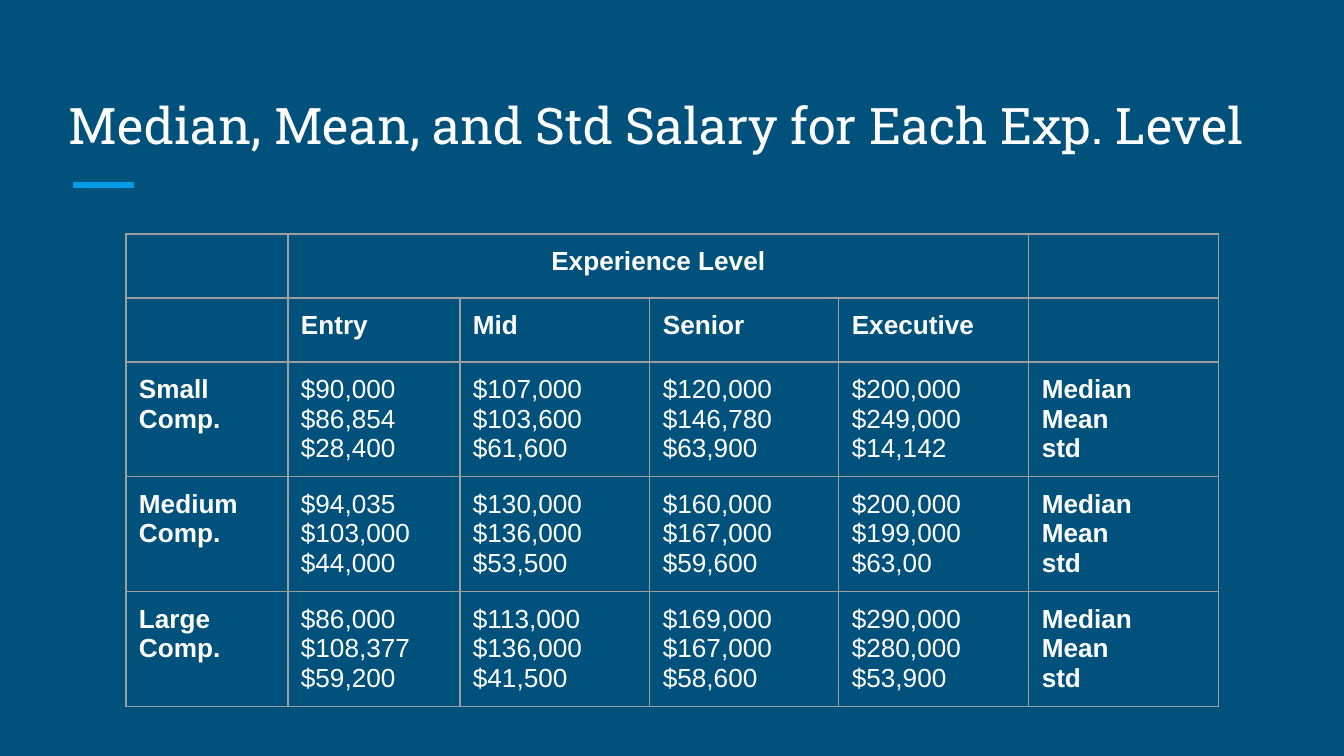
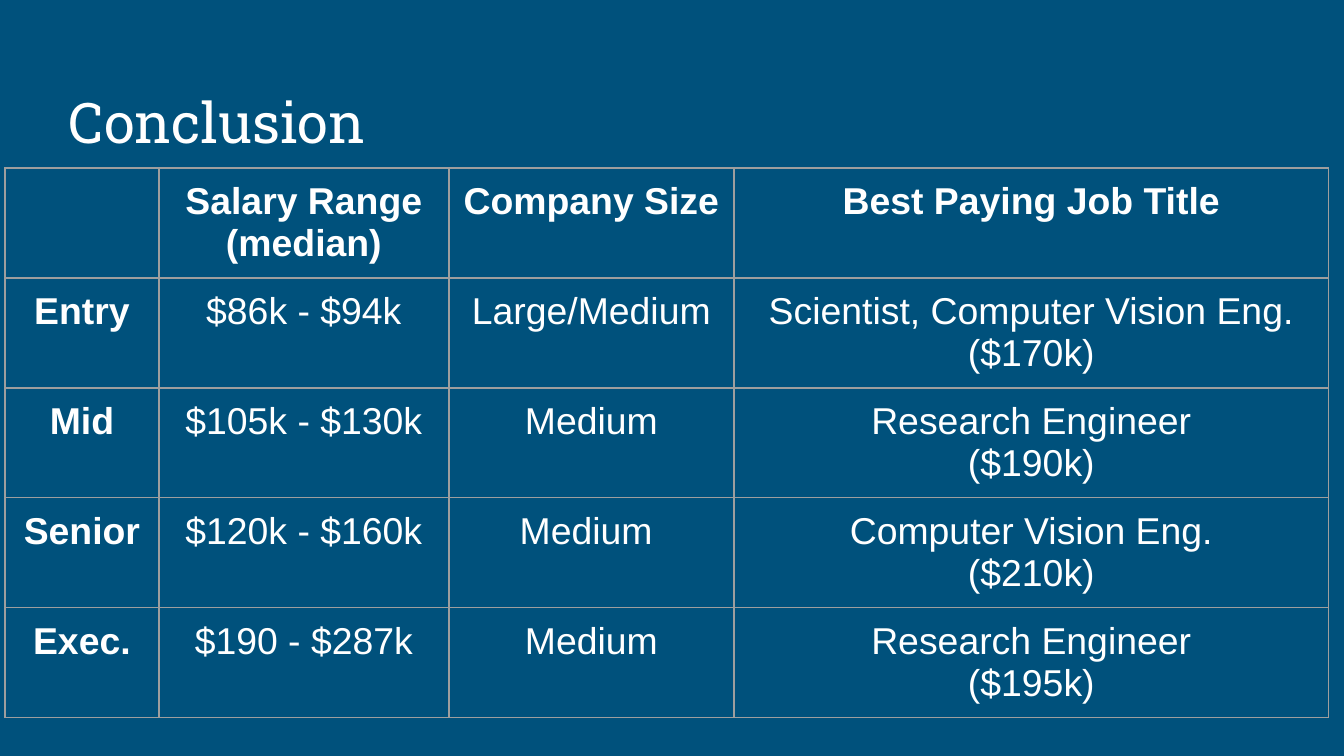
from dataclasses import dataclass

from lxml.etree import SubElement
from pptx import Presentation
from pptx.dml.color import RGBColor as RGB
from pptx.enum.shapes import MSO_CONNECTOR as Connector
from pptx.enum.text import MSO_ANCHOR as Anchor, MSO_AUTO_SIZE as AutoSize, PP_ALIGN as Align
from pptx.oxml.ns import qn
from pptx.util import Pt

# Content: cell lines are separated by "\n"
STATS = "Median\nMean\nstd"
SLIDES = [
    dict(
        title="Median, Mean, and Std Salary for Each Exp. Level", title_size=27,
        at=(126, 234), cols=(162, 172, 190, 189, 190, 190), rows=(64, 64, 115, 115, 115),
        size=14, align=Align.LEFT, filled=False,
        header_rows=2, bold_cols=(0, 5), span=(0, 1, 4),
        cells=[
            ("", "Experience Level", "", "", "", ""),
            ("", "Entry", "Mid", "Senior", "Executive", ""),
            ("Small\nComp.", "$90,000\n$86,854\n$28,400", "$107,000\n$103,600\n$61,600",
             "$120,000\n$146,780\n$63,900", "$200,000\n$249,000\n$14,142", STATS),
            ("Medium Comp.", "$94,035\n$103,000\n$44,000", "$130,000\n$136,000\n$53,500",
             "$160,000\n$167,000\n$59,600", "$200,000\n$199,000\n$63,00", STATS),
            ("Large Comp.", "$86,000\n$108,377\n$59,200", "$113,000\n$136,000\n$41,500",
             "$169,000\n$167,000\n$58,600", "$290,000\n$280,000\n$53,900", STATS),
        ],
    ),
    dict(
        title="Conclusion", title_size=30,
        at=(5, 168), cols=(154, 290, 285, 595), rows=(110,) * 5,
        size=20, align=Align.CENTER, filled=True,
        header_rows=1, bold_cols=(0,), span=None,
        cells=[
            ("", "Salary Range\n(median)", "Company Size", "Best Paying Job Title"),
            ("Entry", "$86k - $94k", "Large/Medium", "Scientist, Computer Vision Eng. ($170k)"),
            ("Mid", "$105k - $130k", "Medium", "Research Engineer\n($190k)"),
            ("Senior", "$120k - $160k", "Medium ", "Computer Vision Eng.\n($210k)"),
            ("Exec.", "$190 - $287k", "Medium", "Research Engineer\n($195k)"),
        ],
    ),
]


@dataclass(frozen=True)
class Theme:
    background: RGB = RGB.from_string("00517C")
    accent: RGB = RGB.from_string("039BE5")
    text: RGB = RGB.from_string("FFFFFF")
    border: str = "9E9E9E"
    title_font: str = "Roboto Slab"
    body_font: str = "Arial"
    accent_width: float = 3
    border_width: float = 0.75


THEME = Theme()
SLIDE_SIZE = (1344, 756)
TITLE_BOX = (56, 67, 1230, 101)
ACCENT_LINE = (73, 185, 134, 185)
INSET = 13


def px(n):
    return round(n * 914400 / 134.4)


def set_insets(item):
    item.margin_left = item.margin_right = item.margin_top = item.margin_bottom = px(INSET)


def style_text(tf, font, size, bold, align):
    for p in tf.paragraphs:
        p.alignment = align
        for r in p.runs:
            r.font.name, r.font.size, r.font.bold = font, Pt(size), bold
            r.font.color.rgb = THEME.text
        if not p.runs:  # keeps empty cells from growing their row
            SubElement(p._p, qn("a:endParaRPr"), sz=str(size * 100))


# Shared look: background and accent line live on the layout
def style_layout(layout, s):
    layout.background.fill.solid()
    layout.background.fill.fore_color.rgb = THEME.background
    line = s.shapes.add_connector(Connector.STRAIGHT, *map(px, ACCENT_LINE))
    line.line.color.rgb = THEME.accent
    line.line.width = Pt(THEME.accent_width)
    SubElement(line.element.spPr, qn("a:effectLst"))
    layout.shapes.element.append(line.element)


def set_title(s, text, size):
    sp = s.shapes.title
    sp.left, sp.top, sp.width, sp.height = map(px, TITLE_BOX)
    tf = sp.text_frame
    tf.text = text
    tf.word_wrap = True
    tf.auto_size = AutoSize.NONE
    tf.vertical_anchor = Anchor.BOTTOM
    set_insets(tf)
    style_text(tf, THEME.title_font, size, False, Align.LEFT)


def set_borders(cell):
    tc_pr = cell._tc.get_or_add_tcPr()
    for side in "LRTB":
        ln = SubElement(tc_pr, qn(f"a:ln{side}"), w=str(Pt(THEME.border_width)))
        fill = SubElement(ln, qn("a:solidFill"))
        SubElement(fill, qn("a:srgbClr"), val=THEME.border)


def add_grid(s, data):
    cols, rows = data["cols"], data["rows"]
    box = (*data["at"], sum(cols), sum(rows))
    table = s.shapes.add_table(len(rows), len(cols), *map(px, box)).table
    table.first_row = table.horz_banding = False
    for column, width in zip(table.columns, cols):
        column.width = px(width)
    for row, height in zip(table.rows, rows):
        row.height = px(height)

    for i, texts in enumerate(data["cells"]):
        for j, text in enumerate(texts):
            cell = table.cell(i, j)
            cell.text_frame.text = text
            set_insets(cell)
            set_borders(cell)
            if data["filled"]:
                cell.fill.solid()
                cell.fill.fore_color.rgb = THEME.background
            else:
                cell.fill.background()
            bold = i < data["header_rows"] or j in data["bold_cols"]
            style_text(cell.text_frame, THEME.body_font, data["size"], bold, data["align"])

    if data["span"]:
        row, first, last = data["span"]
        heading = table.cell(row, first)
        heading.merge(table.cell(row, last))
        heading.text_frame.paragraphs[0].alignment = Align.CENTER


def main():
    prs = Presentation()
    prs.slide_width, prs.slide_height = map(px, SLIDE_SIZE)
    layout = prs.slide_layouts.get_by_name("Title Only")
    for i, data in enumerate(SLIDES):
        s = prs.slides.add_slide(layout)
        if i == 0:
            style_layout(layout, s)
        set_title(s, data["title"], data["title_size"])
        add_grid(s, data)
    prs.save("out.pptx")


if __name__ == "__main__":
    main()
